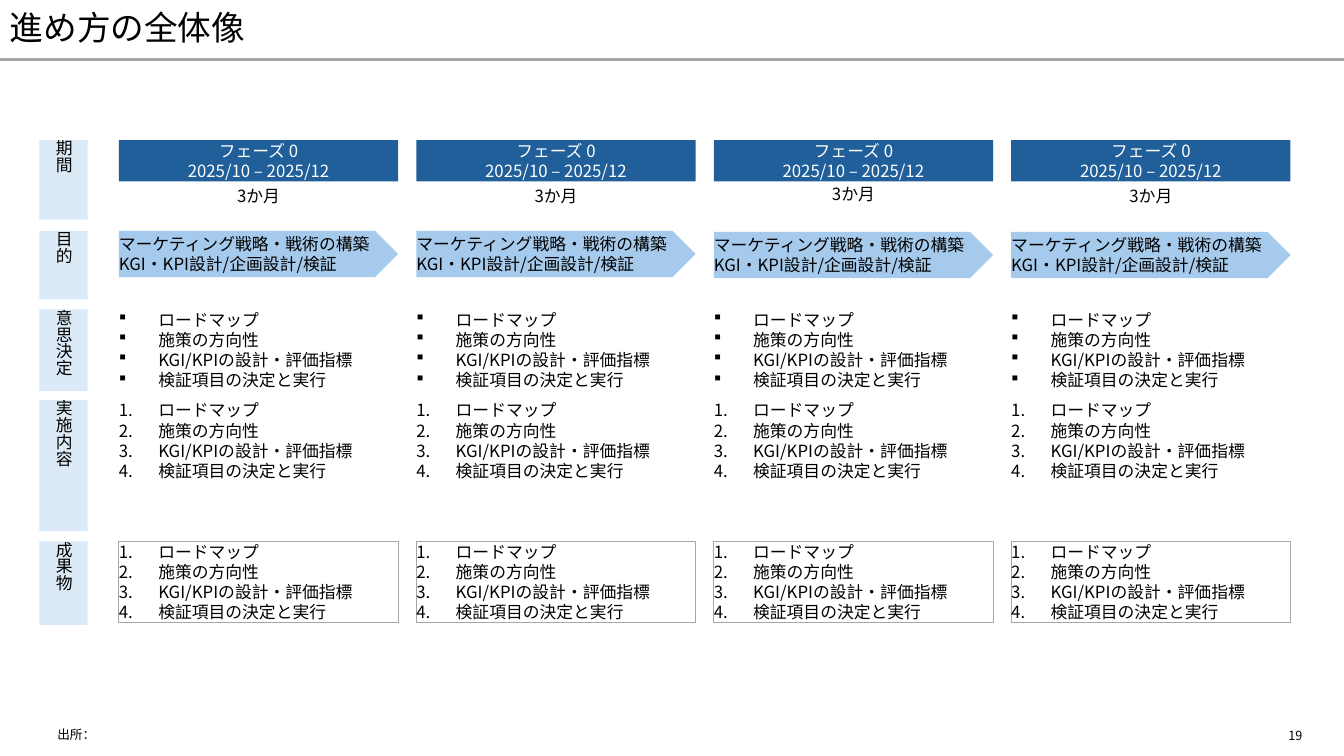
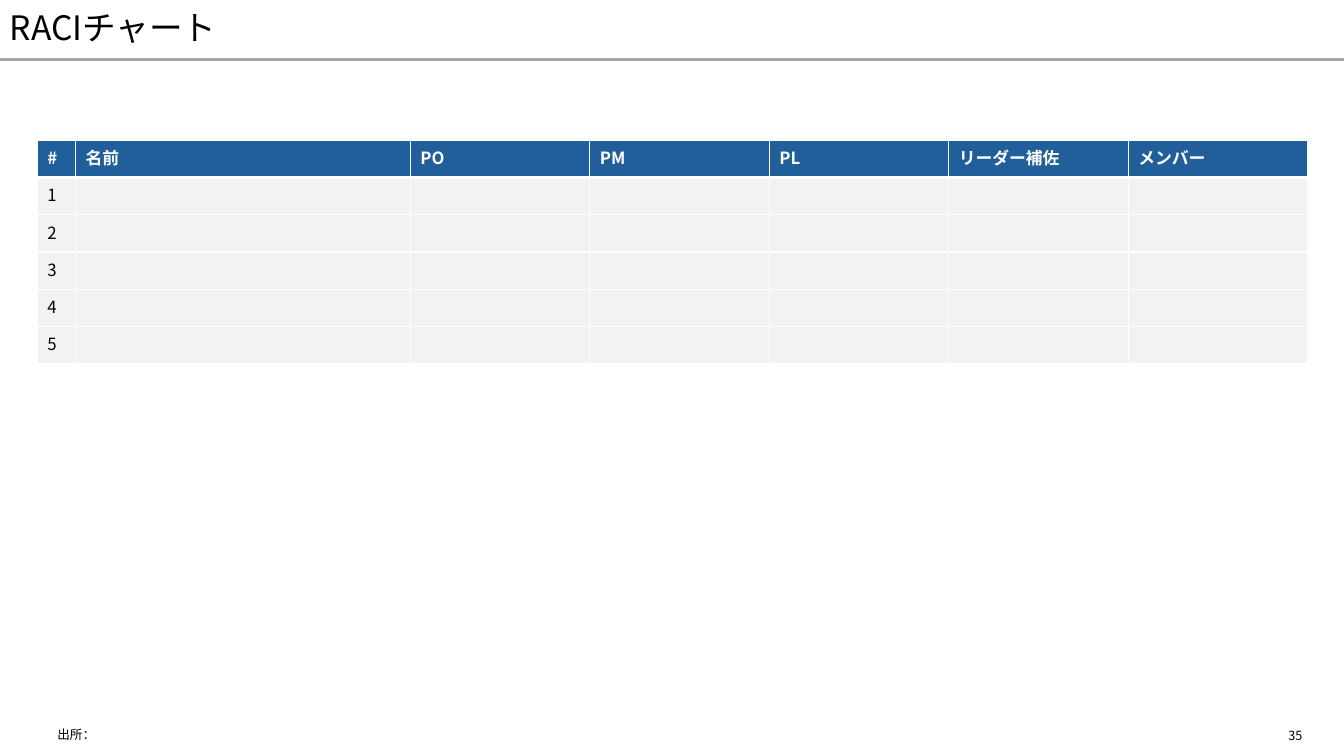
from lxml import etree
from pptx import Presentation
from pptx.dml.color import RGBColor
from pptx.enum.shapes import MSO_CONNECTOR, MSO_SHAPE
from pptx.enum.text import MSO_ANCHOR, PP_ALIGN
from pptx.oxml.ns import qn
from pptx.util import Inches, Pt

FONT = "Noto Sans CJK JP"
BLACK = RGBColor(0x00, 0x00, 0x00)
WHITE = RGBColor(0xFF, 0xFF, 0xFF)
GREY = RGBColor(0xA6, 0xA6, 0xA6)
PALE_GREY = RGBColor(0xF2, 0xF2, 0xF2)
NAVY = RGBColor(0x21, 0x5F, 0x9A)
SKY = RGBColor(0xA6, 0xCA, 0xEC)
PALE_BLUE = RGBColor(0xDC, 0xEA, 0xF7)

SLIDE_W, SLIDE_H = 13.33, 7.5
TOP = 1.39

# Roadmap rows: label, top, height
ROWS = [("期間", TOP, 0.79), ("目的", 2.29, 0.68), ("意思決定", 3.07, 0.81),
        ("実施内容", 3.97, 1.3), ("成果物", 5.37, 0.83)]
LABEL_X, LABEL_W = 0.39, 0.48
PHASE_X, PHASE_W, PHASE_STEP = 1.18, 2.77, 2.95
LIST_H, LIST_INDENT = 0.81, 0.39

# Phases: period, duration, height of the duration, top of the goal arrow
PERIOD = ["フェーズ 0", "2025/10 – 2025/12"]
PHASES = [(PERIOD, "3か月", 0.29, 2.29), (PERIOD, "3か月", 0.29, 2.29),
          (PERIOD, "3か月", 0.25, 2.3), (PERIOD, "3か月", 0.29, 2.3)]
GOAL = ["マーケティング戦略・戦術の構築", "KGI・KPI設計/企画設計/検証"]
ITEMS = ["ロードマップ", "施策の方向性", "KGI/KPIの設計・評価指標", "検証項目の決定と実行"]

RACI_HEAD = ["#", "名前", "PO", "PM", "PL", "リーダー補佐", "メンバー"]
RACI_COLS = [0.38, 3.32] + [1.78] * 5
RACI_ROWS, RACI_ROW_H = 5, 0.37


def style_runs(p, size, color, bold=False):
    for r in p.runs:
        r.font.size, r.font.bold, r.font.name = Pt(size), bold, FONT
        r.font.color.rgb = color
        etree.SubElement(r.font._element, qn("a:ea"), typeface=FONT)


def add_bullet(p, bullet):
    pPr = p._p.get_or_add_pPr()
    pPr.set("marL", str(Inches(LIST_INDENT)))
    pPr.set("indent", str(-Inches(LIST_INDENT)))
    if bullet == "number":
        etree.SubElement(pPr, qn("a:buFont"), typeface="+mj-lt")
        etree.SubElement(pPr, qn("a:buAutoNum"), type="arabicPeriod")
    else:
        etree.SubElement(pPr, qn("a:buFont"), typeface="Wingdings")
        etree.SubElement(pPr, qn("a:buChar"), char="§")


def fill_text(sp, lines, size=12, color=BLACK, align=PP_ALIGN.LEFT,
              anchor=MSO_ANCHOR.MIDDLE, inset=0, bullet=None):
    tf = sp.text_frame
    tf.word_wrap, tf.vertical_anchor = True, anchor
    if inset is not None:
        tf.margin_left = tf.margin_right = Inches(inset)
        tf.margin_top = tf.margin_bottom = Inches(inset)
    tf.text = "\n".join(lines)
    for p in tf.paragraphs:
        p.alignment = align
        if bullet:
            add_bullet(p, bullet)
        style_runs(p, size, color)
    return tf


def add_text(s, box, lines, **style):
    return fill_text(s.shapes.add_textbox(*map(Inches, box)), lines, **style)


def add_block(s, kind, box, lines, fill=None, line=None, **style):
    sp = s.shapes.add_shape(kind, *map(Inches, box))
    sp.shadow.inherit = False
    if fill is None:
        sp.fill.background()
    else:
        sp.fill.solid()
        sp.fill.fore_color.rgb = fill
    if line is None:
        sp.line.fill.background()
    else:
        sp.line.color.rgb, sp.line.width = line, Pt(0.75)
    return fill_text(sp, lines, **style)


def add_slide(prs, title, number):
    """Blank slide with the shared title, rule, source and page number."""
    s = prs.slides.add_slide(prs.slide_layouts[6])
    rule = s.shapes.add_connector(MSO_CONNECTOR.STRAIGHT, 0, Inches(0.59),
                                  Inches(SLIDE_W), Inches(0.59))
    rule.line.color.rgb, rule.line.width = GREY, Pt(2.25)
    etree.SubElement(rule._element.spPr, qn("a:effectLst"))
    tf = add_text(s, (0, 0, SLIDE_W, 0.59), [title], size=24, inset=None)
    tf.paragraphs[0].line_spacing = 0.9
    add_text(s, (0.47, 7.17, 11.02, 0.24), ["出所："], size=9, inset=None)
    add_text(s, (12.68, 7.17, 0.59, 0.24), [str(number)], size=9, inset=None,
             anchor=MSO_ANCHOR.TOP)
    return s


def add_row_labels(s, x, w):
    for label, y, h in ROWS:
        tf = add_block(s, MSO_SHAPE.RECTANGLE, (x, y, w, h), [label],
                       fill=PALE_BLUE, align=PP_ALIGN.CENTER)
        tf._txBody.bodyPr.set("vert", "eaVert")


def add_phase(s, x, w, phase):
    period, duration, duration_h, goal_y = phase
    decision_y, action_y, output_y = [y for _, y, _ in ROWS[2:]]
    # Period and duration
    add_block(s, MSO_SHAPE.RECTANGLE, (x, TOP, w, 0.41), period, fill=NAVY,
              color=WHITE, align=PP_ALIGN.CENTER)
    add_text(s, (x, TOP + 0.41, w, duration_h), [duration], align=PP_ALIGN.CENTER)
    # Goal
    add_block(s, MSO_SHAPE.PENTAGON, (x, goal_y, w, 0.46), GOAL, fill=SKY)
    # Decisions, actions and outputs
    add_text(s, (x, decision_y, w, LIST_H), ITEMS, anchor=MSO_ANCHOR.TOP,
             bullet="square")
    add_text(s, (x, action_y, w, LIST_H), ITEMS, anchor=MSO_ANCHOR.TOP,
             bullet="number")
    add_block(s, MSO_SHAPE.RECTANGLE, (x, output_y, w, LIST_H), ITEMS, line=GREY,
              anchor=MSO_ANCHOR.TOP, bullet="number")


def set_borders(cell, bottom):
    tcPr = cell._tc.get_or_add_tcPr()
    widths = {"L": 1, "R": 1, "T": 1, "B": bottom}
    for i, (side, width) in enumerate(widths.items()):
        ln = etree.Element(qn(f"a:ln{side}"), w=str(Pt(width)))
        fill = etree.SubElement(ln, qn("a:solidFill"))
        etree.SubElement(fill, qn("a:srgbClr"), val=str(WHITE))
        tcPr.insert(i, ln)


def add_raci_table(s, x, y):
    rows = [RACI_HEAD] + [[str(n)] + [""] * (len(RACI_HEAD) - 1)
                          for n in range(1, RACI_ROWS + 1)]
    frame = s.shapes.add_table(len(rows), len(RACI_COLS), Inches(x), Inches(y),
                               Inches(sum(RACI_COLS)), Inches(RACI_ROW_H * len(rows)))
    table = frame.table
    table.horz_banding = False
    for col, width in zip(table.columns, RACI_COLS):
        col.width = Inches(width)
    for i, values in enumerate(rows):
        head = i == 0
        table.rows[i].height = Inches(RACI_ROW_H)
        for j, value in enumerate(values):
            cell = table.cell(i, j)
            cell.fill.solid()
            cell.fill.fore_color.rgb = NAVY if head else PALE_GREY
            set_borders(cell, 3 if head else 1)
            p = cell.text_frame.paragraphs[0]
            if value:
                p.text = value
                style_runs(p, 12, WHITE if head else BLACK, head)
            else:
                etree.SubElement(p._p, qn("a:endParaRPr"), sz="1200")


def build_roadmap(prs):
    s = add_slide(prs, "進め方の全体像", 19)
    add_row_labels(s, LABEL_X, LABEL_W)
    for i, phase in enumerate(PHASES):
        add_phase(s, PHASE_X + i * PHASE_STEP, PHASE_W, phase)


def build_raci(prs):
    s = add_slide(prs, "RACIチャート", 35)
    add_raci_table(s, 0.37, TOP)


def main():
    prs = Presentation()
    prs.slide_width, prs.slide_height = Inches(SLIDE_W), Inches(SLIDE_H)
    build_roadmap(prs)
    build_raci(prs)
    prs.save("out.pptx")


if __name__ == "__main__":
    main()
